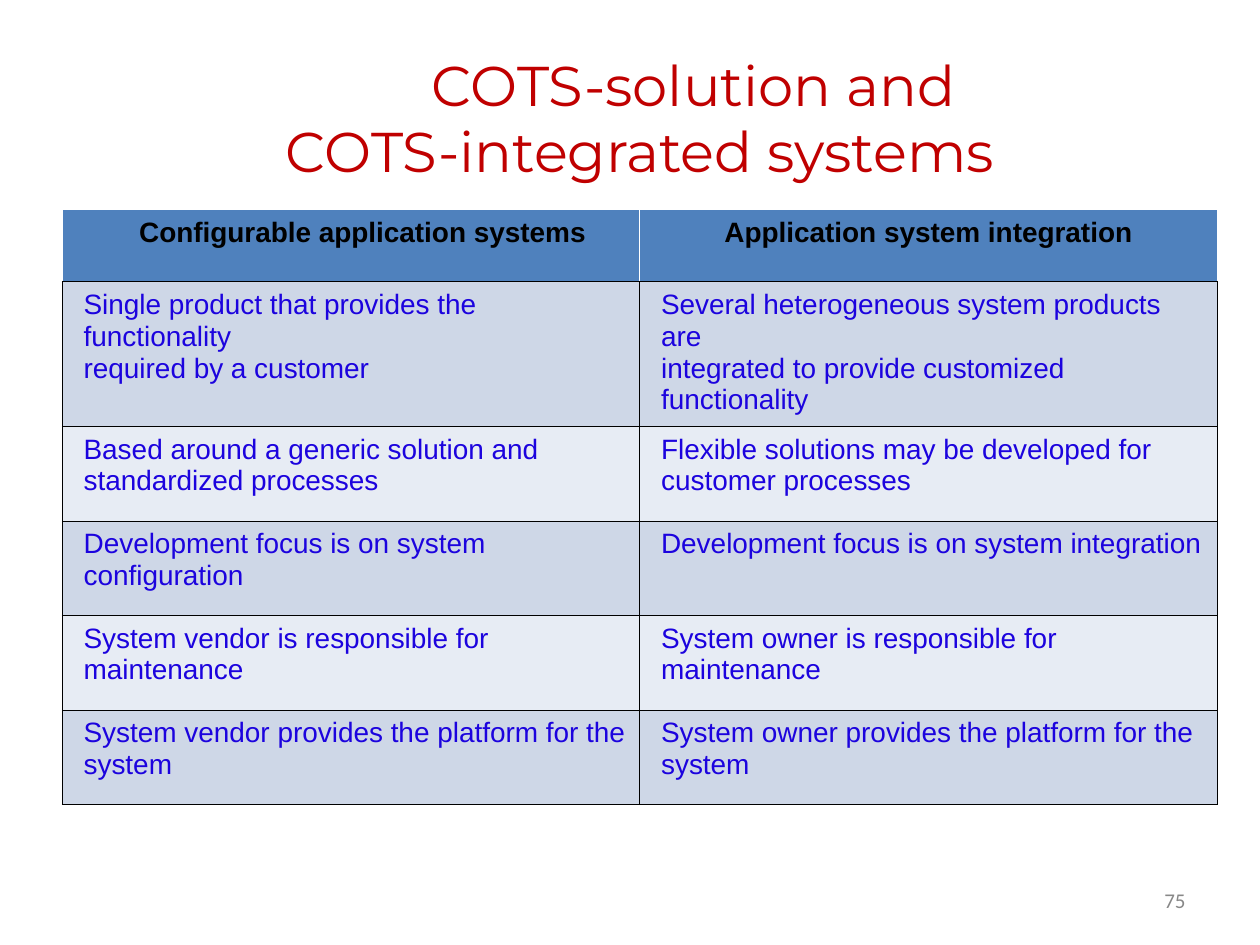
from lxml import etree
from pptx import Presentation
from pptx.dml.color import RGBColor
from pptx.enum.text import PP_ALIGN
from pptx.oxml.ns import qn
from pptx.util import Pt

CENTER = PP_ALIGN.CENTER
BLACK, WHITE, RED, BLUE, GRAY = "000000", "FFFFFF", "C00000", "1C03DE", "888888"
HEADER_FILL = "4F81BD"
BAND_FILLS = ["CED7E7", "E7ECF4"]
ROW_HEIGHTS = [41, 81.5, 54, 54, 54, 54]
HEADERS = ["Configurable application systems", "Application system integration"]
COMPARISON = [
    (["Single product that provides the functionality", "required by a customer"],
     ["Several heterogeneous system products are",
      "integrated to provide customized functionality"]),
    (["Based around a generic solution and", "standardized processes"],
     ["Flexible solutions may be developed for", "customer processes"]),
    (["Development focus is on system", "configuration"],
     ["Development focus is on system integration"]),
    (["System vendor is responsible for", "maintenance"],
     ["System owner is responsible for", "maintenance"]),
    (["System vendor provides the platform for the", "system"],
     ["System owner provides the platform for the", "system"]),
]


def write(paragraph, text, font_name, size, color, left=0, first_line=0, bold=False):
    """Add one run and set the paragraph's left margin and first-line indent."""
    properties = paragraph._p.get_or_add_pPr()
    properties.set("marL", str(Pt(left)))
    properties.set("indent", str(Pt(first_line)))
    run = paragraph.add_run()
    run.text = text
    run.font.name = font_name
    run.font.size = Pt(size)
    run.font.bold = bold
    run.font.color.rgb = RGBColor.from_string(color)


def style_cell(cell, fill, edge_color):
    """Draw thin borders, with a black bottom edge, and fill the cell."""
    properties = cell._tc.get_or_add_tcPr()
    for side in "LRTB":
        line = etree.SubElement(properties, qn(f"a:ln{side}"), w=str(Pt(0.45)))
        solid = etree.SubElement(line, qn("a:solidFill"))
        color = BLACK if side == "B" else edge_color
        etree.SubElement(solid, qn("a:srgbClr"), val=color)
    cell.fill.solid()
    cell.fill.fore_color.rgb = RGBColor.from_string(fill)


presentation = Presentation()
presentation.slide_width, presentation.slide_height = Pt(720), Pt(540)
slide = presentation.slides.add_slide(presentation.slide_layouts[6])

# Slide number
number_box = slide.shapes.add_textbox(Pt(662.4), Pt(509), Pt(18), Pt(12.4))
frame = number_box.text_frame
frame.margin_left = frame.margin_right = frame.margin_top = frame.margin_bottom = 0
frame.word_wrap = True
paragraph = frame.paragraphs[0]
paragraph.line_spacing = Pt(12.4)
write(paragraph, "75", "Calibri", 12, GRAY, left=2.9)

# Title
title_box = slide.shapes.add_textbox(Pt(141.8), Pt(26.6), Pt(447), Pt(79.2))
frame = title_box.text_frame
frame.margin_left = frame.margin_right = frame.margin_bottom = 0
frame.margin_top = Pt(2.2)
frame.word_wrap = True
paragraph = frame.paragraphs[0]
paragraph.alignment = CENTER
paragraph.line_spacing = Pt(38.2)
paragraph.space_before = Pt(2.4)
write(paragraph, "COTS-solution and COTS-integrated systems", "Montserrat", 32, RED,
      left=0.7, first_line=61.2)

# Comparison table
table = slide.shapes.add_table(len(ROW_HEIGHTS), 2, Pt(35.6), Pt(119.7),
                               Pt(660), Pt(sum(ROW_HEIGHTS))).table
for column in table.columns:
    column.width = Pt(330)
for row, height in zip(table.rows, ROW_HEIGHTS):
    row.height = Pt(height)

for column_index, header in enumerate(HEADERS):
    cell = table.cell(0, column_index)
    style_cell(cell, HEADER_FILL, WHITE)
    paragraph = cell.text_frame.paragraphs[0]
    paragraph.line_spacing = Pt(18.5)
    if column_index == 1:
        paragraph.alignment = CENTER
    write(paragraph, header, "Arial", 16, BLACK,
          left=0 if column_index else 36.7, bold=True)

for row_index, entries in enumerate(COMPARISON, start=1):
    for column_index, lines in enumerate(entries):
        cell = table.cell(row_index, column_index)
        style_cell(cell, BAND_FILLS[(row_index - 1) % 2], BLACK)
        frame = cell.text_frame
        for line_index, text in enumerate(lines):
            if line_index == 0:
                paragraph = frame.paragraphs[0]
                paragraph.line_spacing = Pt(18.5)
            else:
                paragraph = frame.add_paragraph()
                paragraph.space_before = Pt(0.3)
            write(paragraph, text, "Arial", 16, BLUE, left=5)

presentation.save("out.pptx")
